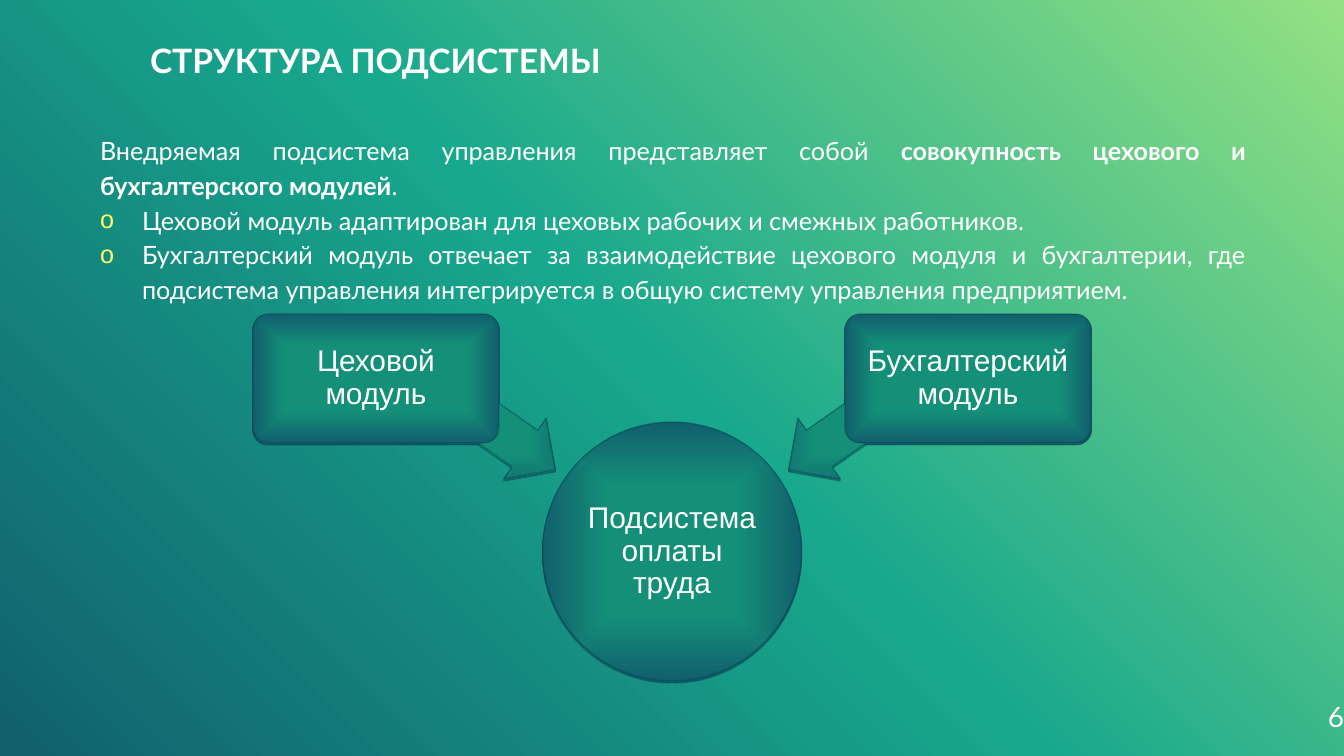
from lxml import etree
from pptx import Presentation
from pptx.enum.shapes import MSO_SHAPE as Shape
from pptx.enum.text import MSO_ANCHOR as Anchor, MSO_AUTO_SIZE as AutoSize, PP_ALIGN as Align
from pptx.dml.color import RGBColor
from pptx.oxml.ns import qn
from pptx.util import Pt

TITLE = "СТРУКТУРА ПОДСИСТЕМЫ"
INTRO = [
    ("Внедряемая подсистема управления представляет собой ", False),
    ("совокупность цехового и бухгалтерского модулей", True),
    (".", False),
]
POINTS = [
    "Цеховой модуль адаптирован для цеховых рабочих и смежных работников.",
    "Бухгалтерский модуль отвечает за взаимодействие цехового модуля и бухгалтерии, "
    "где подсистема управления интегрируется в общую систему управления предприятием.",
]
HUB = "Подсистема оплаты труда"
MODULES = ["Цеховой модуль", "Бухгалтерский модуль"]
PAGE = "6"

COLORS = {"text": "FFFFFF", "bullet": "FFFF66", "light": "93E183", "middle": "18A88D",
          "deep": "11606D", "core": "148F78", "outline": "011733"}
BACKDROP_STOPS = [(0, "light", 100), (50, "middle", 100), (100, "deep", 100)]

SLIDE_W, SLIDE_H = 1344, 756
TITLE_BOX = (91, 0, 1032, 126)
BODY_BOX = (91, 126, 1164, 230)
PAGE_BOX = (1263, 687, 81, 58)
HUB_TOP, HUB_SIZE = 422, 259
MODULE_LEFT, MODULE_TOP, MODULE_W, MODULE_H = 253, 314, 246, 129
ARROW_LEFT, ARROW_TOP, ARROW_W, ARROW_H = 356, 370, 219, 74
ARROW_ANGLE = 215
LAYERS = [(2, 90), (0, 100)]  # downward offset and opacity of the rim, back to front
BULLET_INDENT = 42


def px(length):
    return round(length * 914400 / 134.4)


def rgb(name):
    return RGBColor.from_string(COLORS[name])


def add_alpha(color, opacity):
    if opacity < 100:
        etree.SubElement(color, qn("a:alpha"), val=str(opacity * 1000))


def set_gradient(parent, stops, path, focus):
    """Replace the solid fill in parent with a path gradient."""
    gradient = etree.Element(qn("a:gradFill"), rotWithShape="1")
    stop_list = etree.SubElement(gradient, qn("a:gsLst"))
    for position, name, opacity in stops:
        stop = etree.SubElement(stop_list, qn("a:gs"), pos=str(position * 1000))
        add_alpha(etree.SubElement(stop, qn("a:srgbClr"), val=COLORS[name]), opacity)
    route = etree.SubElement(gradient, qn("a:path"), path=path)
    sides = {side: str(share * 1000) for side, share in zip("ltrb", focus)}
    etree.SubElement(route, qn("a:fillToRect"), **sides)
    parent.replace(parent.find(qn("a:solidFill")), gradient)


def place(shape, box):
    shape.left, shape.top, shape.width, shape.height = map(px, box)


def set_frame(frame, anchor, across, down):
    frame.word_wrap = True
    frame.auto_size = AutoSize.NONE
    frame.vertical_anchor = anchor
    frame.margin_left = frame.margin_right = px(across)
    frame.margin_top = frame.margin_bottom = px(down)


def style(paragraph, size, font, align, spacing, bold=None):
    paragraph.alignment = align
    paragraph.line_spacing = spacing
    paragraph.space_before = Pt(0)
    paragraph.font.size = Pt(size)
    paragraph.font.name = font
    paragraph.font.bold = bold
    paragraph.font.color.rgb = rgb("text")


def set_bullet(paragraph, char=None):
    properties = paragraph._p.get_or_add_pPr()
    indent = px(BULLET_INDENT) if char else 0
    properties.set("marL", str(indent))
    properties.set("indent", str(-indent))
    bullets = []
    if char:
        color = etree.Element(qn("a:buClr"))
        etree.SubElement(color, qn("a:srgbClr"), val=COLORS["bullet"])
        bullets = [color, etree.Element(qn("a:buFont"), typeface="Arial"),
                   etree.Element(qn("a:buChar"), char=char)]
    else:
        bullets = [etree.Element(qn("a:buNone"))]
    run_defaults = properties.find(qn("a:defRPr"))
    for bullet in bullets:
        run_defaults.addprevious(bullet)


def add_part(slide, kind, box, rim_opacity, adjustments=(), angle=0):
    part = slide.shapes.add_shape(kind, *map(px, box))
    part.shadow.inherit = False
    part.rotation = angle
    for index, value in enumerate(adjustments):
        part.adjustments[index] = value
    part.fill.solid()
    stops = [(50, "core", 100), (100, "deep", rim_opacity)]
    set_gradient(part._element.spPr, stops, "shape", (50, 50, 50, 50))
    part.line.color.rgb = rgb("outline")
    part.line.width = 0
    add_alpha(part.line._ln.find(".//" + qn("a:srgbClr")), 23)
    return part


def label(part, text, margin):
    set_frame(part.text_frame, Anchor.MIDDLE, margin, margin)
    paragraph = part.text_frame.paragraphs[0]
    paragraph.text = text
    style(paragraph, 16, "Arial", Align.CENTER, 0.9)


def add_diagram(slide):
    hub_box = ((SLIDE_W - HUB_SIZE) / 2, HUB_TOP, HUB_SIZE, HUB_SIZE)
    sides = [
        (MODULE_LEFT, ARROW_LEFT, ARROW_ANGLE),
        (SLIDE_W - MODULE_LEFT - MODULE_W, SLIDE_W - ARROW_LEFT - ARROW_W, 540 - ARROW_ANGLE),
    ]
    for drop, opacity in LAYERS:
        is_front = drop == 0
        left, top, width, height = hub_box
        hub = add_part(slide, Shape.OVAL, (left, top + drop, width, height), opacity)
        if is_front:
            label(hub, HUB, 4)
        for text, (module_left, arrow_left, angle) in zip(MODULES, sides):
            add_part(slide, Shape.LEFT_ARROW, (arrow_left, ARROW_TOP + drop, ARROW_W, ARROW_H),
                     opacity, (0.6, 0.5), angle)
            module = add_part(slide, Shape.ROUNDED_RECTANGLE,
                              (module_left, MODULE_TOP + drop, MODULE_W, MODULE_H),
                              opacity, (0.12,))
            if is_front:
                label(module, text, 12)


def main():
    deck = Presentation()
    deck.slide_width, deck.slide_height = px(SLIDE_W), px(SLIDE_H)
    slide = deck.slides.add_slide(deck.slide_layouts[1])
    slide.background.fill.solid()
    backdrop = slide._element.find(".//" + qn("p:bgPr"))
    set_gradient(backdrop, BACKDROP_STOPS, "circle", (100, 0, 0, 100))

    title, body = slide.shapes.title, slide.placeholders[1]
    place(title, TITLE_BOX)
    set_frame(title.text_frame, Anchor.MIDDLE, 9, 5)
    heading = title.text_frame.paragraphs[0]
    heading.text = TITLE
    style(heading, 18, "Lato", Align.LEFT, 0.9, bold=True)
    heading._p.get_or_add_pPr().set("indent", str(px(50)))

    place(body, BODY_BOX)
    set_frame(body.text_frame, Anchor.TOP, 9, 5)
    intro = body.text_frame.paragraphs[0]
    for text, bold in INTRO:
        run = intro.add_run()
        run.text = text
        run.font.bold = bold
    style(intro, 13.5, "Lato", Align.JUSTIFY, 1.15)
    set_bullet(intro)
    for text in POINTS:
        point = body.text_frame.add_paragraph()
        point.text = text
        style(point, 13.5, "Lato", Align.JUSTIFY, 1.15)
        set_bullet(point, "o")

    add_diagram(slide)

    page = slide.shapes.add_textbox(*map(px, PAGE_BOX))
    set_frame(page.text_frame, Anchor.MIDDLE, 0, 0)
    number = page.text_frame.paragraphs[0]
    number.text = PAGE
    style(number, 15, "Lato", Align.RIGHT, 1.0)

    deck.save("out.pptx")


if __name__ == "__main__":
    main()
